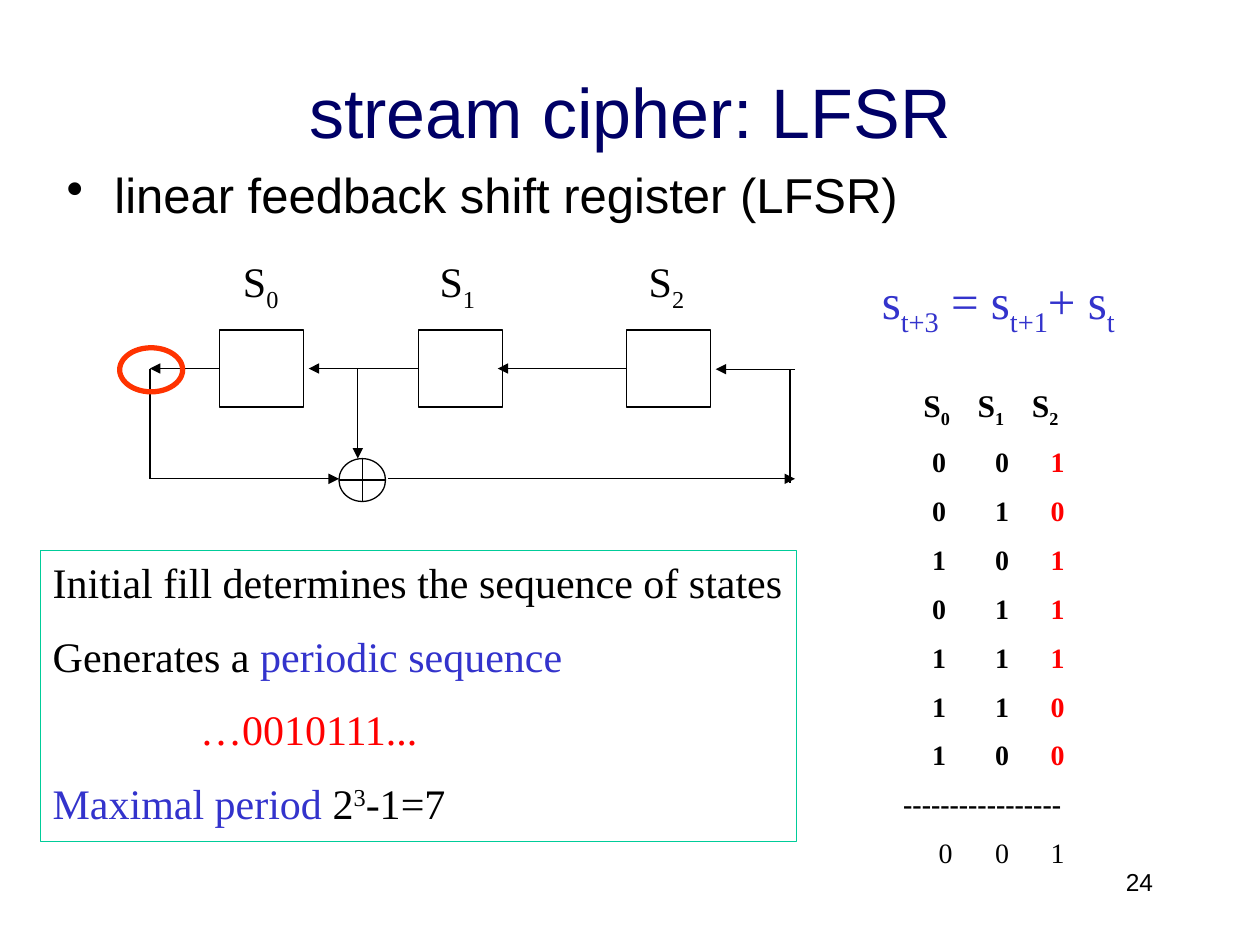
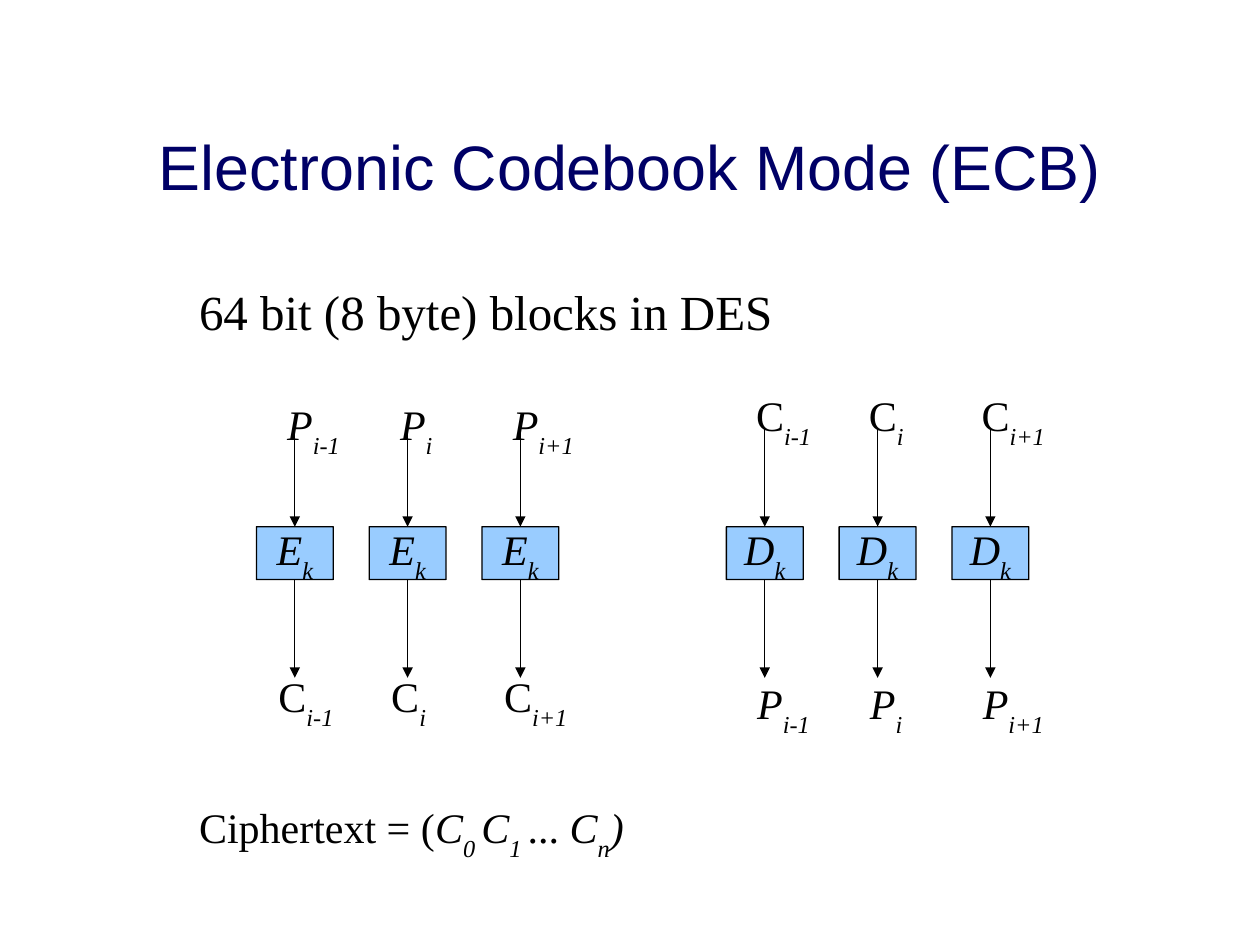
from lxml import etree
from pptx import Presentation
from pptx.dml.color import RGBColor
from pptx.enum.shapes import MSO_CONNECTOR, MSO_SHAPE
from pptx.enum.text import MSO_ANCHOR, MSO_AUTO_SIZE, PP_ALIGN
from pptx.oxml.ns import qn
from pptx.util import Inches, Pt

RECT, ROUNDED = MSO_SHAPE.RECTANGLE, MSO_SHAPE.ROUNDED_RECTANGLE
OVAL, XOR = MSO_SHAPE.OVAL, MSO_SHAPE.FLOWCHART_OR
STRAIGHT = MSO_CONNECTOR.STRAIGHT
MIDDLE, TOP_ANCHOR = MSO_ANCHOR.MIDDLE, MSO_ANCHOR.TOP
GROW, FIXED = MSO_AUTO_SIZE.SHAPE_TO_FIT_TEXT, MSO_AUTO_SIZE.NONE
LEFT, CENTER, RIGHT = PP_ALIGN.LEFT, PP_ALIGN.CENTER, PP_ALIGN.RIGHT
TOP_SIDE, LEFT_SIDE, BOTTOM_SIDE = 0, 1, 2

# Shared look
COLORS = {"title": "000066", "ink": "000000", "accent": "3333CC", "red": "FF0000",
          "ring": "FF3300", "frame": "00CC99", "cipher": "99CCFF", "paper": "FFFFFF"}
SANS, SERIF = "Arial", "Times New Roman"
BODY = {"name": SERIF, "size": 24, "color": "ink"}
TITLE = {"name": SANS, "size": 40, "color": "title"}
SUB, DEEP_SUB, SUPER = {"baseline": -25}, {"baseline": -33}, {"baseline": 30}
ACCENT, RED, ITALIC = {"color": "accent"}, {"color": "red"}, {"italic": True}
DEEP_ITALIC = {**DEEP_SUB, **ITALIC}

# Slide 1 content: each paragraph is a list of (text, format) runs
LFSR_TITLE = "stream cipher: LFSR"
LFSR_BULLET = "linear feedback shift register (LFSR)"
RECURRENCE = [("s", {}), ("t+3", SUB), (" = s", {}), ("t+1", SUB), ("+ s", {}), ("t", SUB)]
FACTS = [
    [("Initial fill determines the sequence of states", {})],
    [("Generates a ", {}), ("periodic sequence", ACCENT)],
    [("…0010111...", RED)],
    [("Maximal period", ACCENT), (" 2", {}), ("3", SUPER), ("-1=7", {})],
]
SEQUENCE_ROW, SEQUENCE_INDENT = 2, 1.17
STATES = ["001", "010", "101", "011", "111", "110", "100"]
STATE_RULE, REPEATED_STATE = "-----------------", "001"
HEADER_TABS, STATE_TABS, REPEAT_TABS = (0.16, 0.59, 1.02), (0.23, 0.73, 1.17), (0.28, 0.73, 1.17)
PAGE_NUMBER = "24"

# Register circuit: register left, label left, and end of the outgoing arrow
REGISTERS = [(1.74, 1.83, 1.19), (3.32, 3.39, 2.45), (4.97, 5.05, 3.95)]
REGISTER_TOP, REGISTER_W, REGISTER_H = 2.62, 0.67, 0.61
SHIFT_Y, FEEDBACK_Y, TAP_X, OUTPUT_X, INPUT_X = 2.93, 3.8, 2.84, 1.19, 6.31
WIRES = [  # from, to, arrowhead
    ((6.27, 3.83), (6.27, 2.94), False),
    ((INPUT_X, SHIFT_Y), (5.68, SHIFT_Y), True),
    ((OUTPUT_X, SHIFT_Y), (OUTPUT_X, FEEDBACK_Y), False),
    ((TAP_X, SHIFT_Y), (TAP_X, 3.64), True),
    ((3.08, FEEDBACK_Y), (INPUT_X, FEEDBACK_Y), True),
    ((OUTPUT_X, FEEDBACK_Y), (2.69, FEEDBACK_Y), True),
]

# Slide 2 content
ECB_TITLE = "Electronic Codebook Mode (ECB)"
BLOCK_SIZE = [("64 bit (8 byte) blocks in DES", {})]
CIPHERTEXT = [("Ciphertext = (", {}), ("C", ITALIC), ("0 ", DEEP_ITALIC), ("C", ITALIC),
              ("1 ", DEEP_ITALIC), ("... ", {}), ("C", ITALIC), ("n", DEEP_ITALIC), (")", ITALIC)]
INDEX_WIDTHS = {"i-1": 0.46, "i": 0.27, "i+1": 0.53}
LETTERS = {"P": (ITALIC, 0), "C": ({}, 0.02)}  # format, extra width
# Cipher letter, first column centre, then (letter, offset from centre, top) of input and output
MODES = [
    ("E", 2.34, [("P", -0.06, 3.16), ("C", -0.13, 5.32)]),
    ("D", 6.07, [("C", -0.07, 3.09), ("P", -0.06, 5.38)]),
]
COLUMN_PITCH, CIPHER_TOP, CIPHER_W, CIPHER_H, ARROW_LENGTH = 0.895, 4.18, 0.61, 0.42, 0.78


def rgb(name):
    return RGBColor.from_string(COLORS[name])


def add_runs(paragraph, runs, base):
    for text, extra in runs:
        run = paragraph.add_run()
        run.text = text
        for key, value in {**base, **extra}.items():
            if key == "color":
                run.font.color.rgb = rgb(value)
            elif key == "baseline":
                run.font._element.set("baseline", str(value * 1000))
            else:
                setattr(run.font, key, Pt(value) if key == "size" else value)


def write(shape, paragraphs, base=BODY, align=LEFT, margins=True, gap=0, **frame_format):
    """Fill a shape with paragraphs of runs and return the paragraphs."""
    frame = shape.text_frame
    settings = {"word_wrap": True, "auto_size": FIXED, "vertical_anchor": TOP_ANCHOR}
    if not margins:
        settings.update({f"margin_{side}": 0 for side in ("left", "right", "top", "bottom")})
    for key, value in {**settings, **frame_format}.items():
        setattr(frame, key, value)
    for number, runs in enumerate(paragraphs):
        paragraph = frame.add_paragraph() if number else frame.paragraphs[0]
        paragraph.alignment = align
        if number and gap:
            paragraph.space_before = Pt(gap)
        if not margins:
            paragraph.line_spacing = 0.97
        add_runs(paragraph, runs, base)
    return frame.paragraphs


def add_text(slide, box, paragraphs, **options):
    return write(slide.shapes.add_textbox(*map(Inches, box)), paragraphs, **options)


def add_label(slide, box, runs, **options):
    add_text(slide, box, [runs], margins=False, word_wrap=False, auto_size=GROW, **options)


def add_block(slide, kind, box, fill="paper", line="ink", weight=0.75):
    block = slide.shapes.add_shape(kind, *map(Inches, box))
    block.shadow.inherit = False
    if fill:
        block.fill.solid()
        block.fill.fore_color.rgb = rgb(fill)
    else:
        block.fill.background()
    block.line.color.rgb = rgb(line)
    block.line.width = Pt(weight)
    return block


def add_wire(slide, start, end, arrow=True):
    wire = slide.shapes.add_connector(STRAIGHT, *map(Inches, (*start, *end)))
    wire.line.color.rgb = rgb("ink")
    wire.line.width = Pt(0.75)
    if arrow:
        etree.SubElement(wire.line._get_or_add_ln(), qn("a:tailEnd"), type="triangle")
    etree.SubElement(wire._element.spPr, qn("a:effectLst"))
    return wire


def set_tabs(paragraph, stops):
    tabs = etree.SubElement(paragraph._p.get_or_add_pPr(), qn("a:tabLst"))
    for stop in stops:
        etree.SubElement(tabs, qn("a:tab"), pos=str(Inches(stop)), algn="l")


def set_indent(paragraph, left, first=0):
    properties = paragraph._p.get_or_add_pPr()
    properties.set("marL", str(Inches(left)))
    properties.set("indent", str(Inches(first)))
    return properties


def add_title(slide, box, text, size=TITLE["size"], margins=True):
    add_text(slide, box, [[(text, {"size": size})]], base=TITLE, align=CENTER,
             margins=margins, vertical_anchor=MIDDLE)


def add_state_list(slide):
    header = []
    for number in range(3):
        header += [("\t", {"size": 18 if number else 24}),
                   ("S", {"size": 18}), (str(number), {"size": 18, **SUB})]
    rows = [[(f"\t{s[0]}\t{s[1]}\t", {}), (s[2], RED)] for s in STATES]
    repeat = [("".join(f"\t{bit}" for bit in REPEATED_STATE), {"bold": False})]
    paragraphs = add_text(slide, (7.07, 2.93, 1.58, 4.11),
                          [header, *rows, [(STATE_RULE, {})], repeat],
                          base={**BODY, "size": 16, "bold": True}, gap=8.8)
    stops = [HEADER_TABS] + [STATE_TABS] * len(STATES) + [(), REPEAT_TABS]
    for paragraph, row_stops in zip(paragraphs, stops):
        if row_stops:
            set_tabs(paragraph, row_stops)


def add_circuit(slide):
    for number, (left, label_left, arrow_end) in enumerate(REGISTERS):
        register = add_block(slide, RECT, (left, REGISTER_TOP, REGISTER_W, REGISTER_H))
        add_text(slide, (label_left, 1.98, 0.6, 0.5), [[("S", {}), (str(number), SUB)]])
        shift = add_wire(slide, (left, SHIFT_Y), (arrow_end, SHIFT_Y))
        shift.begin_connect(register, LEFT_SIDE)
        shift.end_y = shift.begin_y
    add_block(slide, XOR, (2.69, 3.64, 0.37, 0.34))
    for start, end, arrow in WIRES:
        add_wire(slide, start, end, arrow)


def build_lfsr(slide):
    add_title(slide, (0, 0.25, 10, 1.25), LFSR_TITLE)
    add_text(slide, (7.17, 6.83, 2.08, 0.5), [[(PAGE_NUMBER, {})]],
             base={**BODY, "name": SANS, "size": 14}, align=RIGHT)
    add_state_list(slide)

    # Framed facts
    facts = add_block(slide, RECT, (0.32, 4.37, 6, 2.31), fill=None, line="frame")
    paragraphs = write(facts, FACTS, gap=13.2)
    set_indent(paragraphs[SEQUENCE_ROW], SEQUENCE_INDENT)

    add_text(slide, (6.9, 2.1, 2.34, 0.57), [RECURRENCE],
             base={**BODY, "size": 28, "color": "accent"})
    add_circuit(slide)

    # Bullet and output marker
    bullet = add_text(slide, (0.43, 1.31, 9.15, 5.36), [[(LFSR_BULLET, {})]],
                      base={**BODY, "name": SANS, "size": 28})[0]
    etree.SubElement(set_indent(bullet, 0.38, -0.38), qn("a:buChar"), char="•")
    bullet.line_spacing = 0.9
    add_block(slide, OVAL, (0.95, 2.76, 0.5, 0.35), fill=None, line="ring", weight=3)


def build_ecb(slide):
    add_title(slide, (0.75, 1.04, 8.5, 0.6), ECB_TITLE, size=35.9, margins=False)
    add_label(slide, (1.58, 2.26, 4.6, 0.46), BLOCK_SIZE, base={**BODY, "size": 28})
    add_label(slide, (1.58, 6.36, 3.49, 0.39), CIPHERTEXT)
    cipher_bottom = CIPHER_TOP + CIPHER_H
    for cipher_letter, first_center, ports in MODES:
        for column, (index, index_width) in enumerate(INDEX_WIDTHS.items()):
            shift = column * COLUMN_PITCH
            center = first_center + shift
            cipher = add_block(slide, ROUNDED, (center - CIPHER_W / 2, CIPHER_TOP,
                                                CIPHER_W, CIPHER_H), fill="cipher")
            cipher.adjustments[0] = 0.004
            write(cipher, [[(cipher_letter, ITALIC), ("k", DEEP_ITALIC)]],
                  align=CENTER, margins=False, vertical_anchor=MIDDLE)
            inflow = add_wire(slide, (center, CIPHER_TOP - ARROW_LENGTH), (center, CIPHER_TOP))
            inflow.end_connect(cipher, TOP_SIDE)
            outflow = add_wire(slide, (center, cipher_bottom),
                               (center, cipher_bottom + ARROW_LENGTH))
            outflow.begin_connect(cipher, BOTTOM_SIDE)
            for letter, offset, top in ports:
                style, extra_width = LETTERS[letter]
                add_label(slide, (center + offset, top, index_width + extra_width, 0.39),
                          [(letter, style), (index, DEEP_ITALIC)])


def main():
    deck = Presentation()
    deck.slide_width, deck.slide_height = Inches(10), Inches(7.5)
    for build in (build_lfsr, build_ecb):
        build(deck.slides.add_slide(deck.slide_layouts[6]))
    deck.save("out.pptx")


if __name__ == "__main__":
    main()
